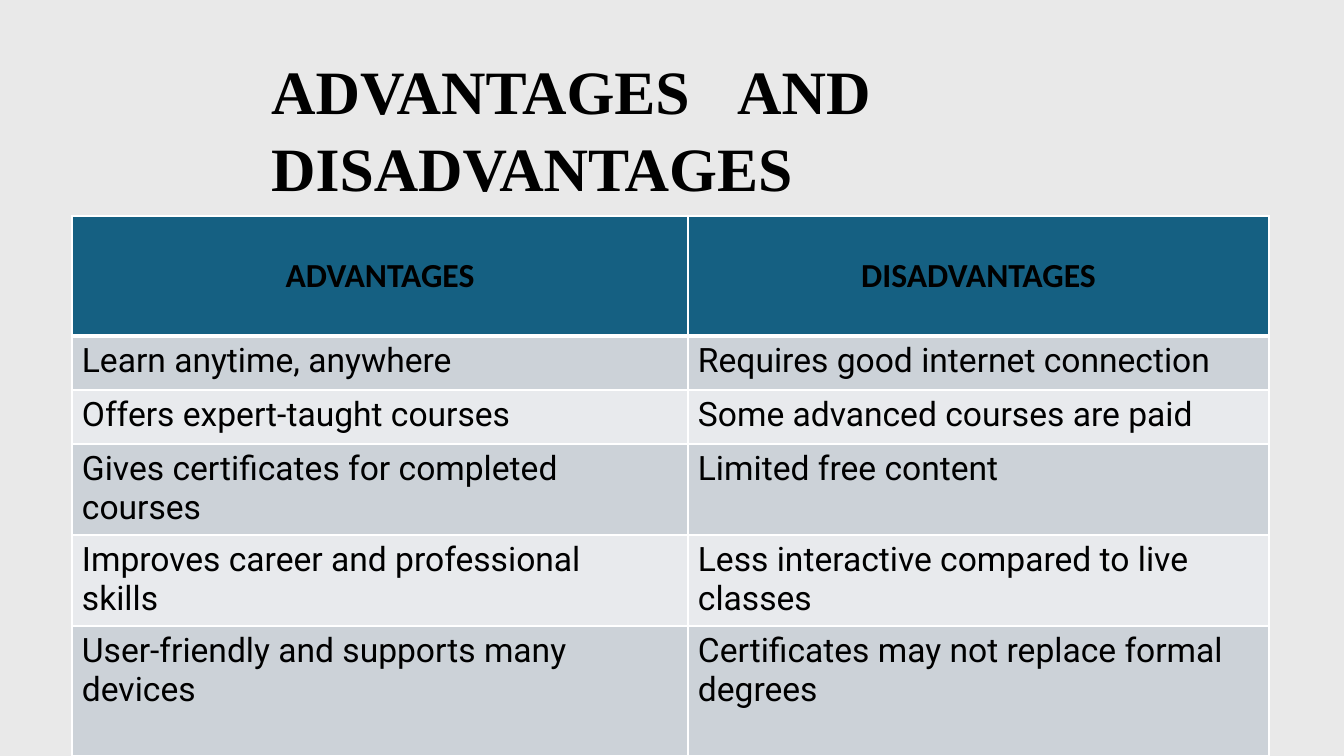
import pptx
import pptx.util
import pptx.dml.color
import pptx.enum.text
import pptx.oxml
import pptx.oxml.ns

RGB = pptx.dml.color.RGBColor
ALIGN = pptx.enum.text.PP_ALIGN
ANCHOR = pptx.enum.text.MSO_ANCHOR
PAPER = RGB(0xE9, 0xE9, 0xE9)
INK = RGB(0, 0, 0)
WHITE = RGB(0xFF, 0xFF, 0xFF)
TEAL = RGB(0x15, 0x60, 0x82)
BANDS = (RGB(0xCC, 0xD2, 0xD8), RGB(0xE8, 0xEA, 0xED))

ROWS = [
    ("ADVANTAGES", "DISADVANTAGES"),
    ("Learn anytime, anywhere", "Requires good internet connection"),
    ("Offers expert-taught courses", "Some advanced courses are paid"),
    ("Gives certificates for completed courses", "Limited free content"),
    ("Improves career and professional skills",
     "Less interactive compared to live classes"),
    ("User-friendly and supports many devices",
     "Certificates may not replace formal degrees"),
]
COLUMN_WIDTHS = (616, 581)
ROW_HEIGHTS = (120, 54, 54, 91, 91, 130)


def px(n):
    return pptx.util.Emu(round(n * 914400 / 100.8))


def write(tf, text, font, size, bold=False, align=ALIGN.LEFT, spacing=None, tab=None):
    tf.word_wrap = True
    p = tf.paragraphs[0]
    p.alignment = align
    if spacing:
        p.line_spacing = spacing
    if tab:
        p._p.get_or_add_pPr().append(pptx.oxml.parse_xml(
            f'<a:tabLst {pptx.oxml.ns.nsdecls("a")}>'
            f'<a:tab pos="{px(tab)}" algn="l"/></a:tabLst>'))
    r = p.add_run()
    r.text = text
    r.font.name = font
    r.font.size = pptx.util.Pt(size)
    r.font.bold = bold
    r.font.color.rgb = INK


class Deck:
    heading_font = "Times New Roman"
    header_font = "Calibri"
    body_font = "Roboto"

    def __init__(self):
        self.prs = pptx.Presentation()
        self.prs.slide_width = px(1344)
        self.prs.slide_height = px(756)
        self.s = self.prs.slides.add_slide(self.prs.slide_layouts[5])
        fill = self.s.background.fill
        fill.solid()
        fill.fore_color.rgb = PAPER

    def title(self, text, x, y, w, h, **style):
        sp = self.s.shapes.title
        sp.left, sp.top, sp.width, sp.height = map(px, (x, y, w, h))
        tf = sp.text_frame
        tf.auto_size = pptx.enum.text.MSO_AUTO_SIZE.NONE
        tf.vertical_anchor = ANCHOR.TOP
        write(tf, text, self.heading_font, 44, bold=True, **style)

    def borders(self, cell, **widths):
        tcPr = cell._tc.get_or_add_tcPr()
        for side in "LRTB":
            width = pptx.util.Pt(widths.get(side, 1))
            tcPr.append(pptx.oxml.parse_xml(
                f'<a:ln{side} {pptx.oxml.ns.nsdecls("a")} w="{width}">'
                f'<a:solidFill><a:srgbClr val="{WHITE}"/></a:solidFill></a:ln{side}>'))

    def cell(self, cell, text, row):
        header = row == 0
        self.borders(cell, B=3 if header else 1, T=3 if row == 1 else 1)
        cell.fill.solid()
        cell.fill.fore_color.rgb = TEAL if header else BANDS[(row - 1) % 2]
        cell.vertical_anchor = ANCHOR.MIDDLE if header else ANCHOR.TOP
        cell.margin_left = px(10)
        cell.margin_right = px(10 if header else 30)
        write(cell.text_frame, text,
              self.header_font if header else self.body_font, 24,
              bold=header, align=ALIGN.CENTER if header else ALIGN.LEFT)

    def table(self, rows, x, y, widths, heights):
        table = self.s.shapes.add_table(
            len(rows), len(widths), px(x), px(y),
            px(sum(widths)), px(sum(heights))).table
        for column, width in zip(table.columns, widths):
            column.width = px(width)
        for i, (texts, height) in enumerate(zip(rows, heights)):
            table.rows[i].height = px(height)
            for j, text in enumerate(texts):
                self.cell(table.cell(i, j), text, i)


def main():
    deck = Deck()
    deck.title("ADVANTAGES\tAND DISADVANTAGES", 261, 44, 672, 159,
               spacing=1.05, tab=466)
    deck.table(ROWS, 72, 216, COLUMN_WIDTHS, ROW_HEIGHTS)
    deck.prs.save("out.pptx")


if __name__ == "__main__":
    main()
